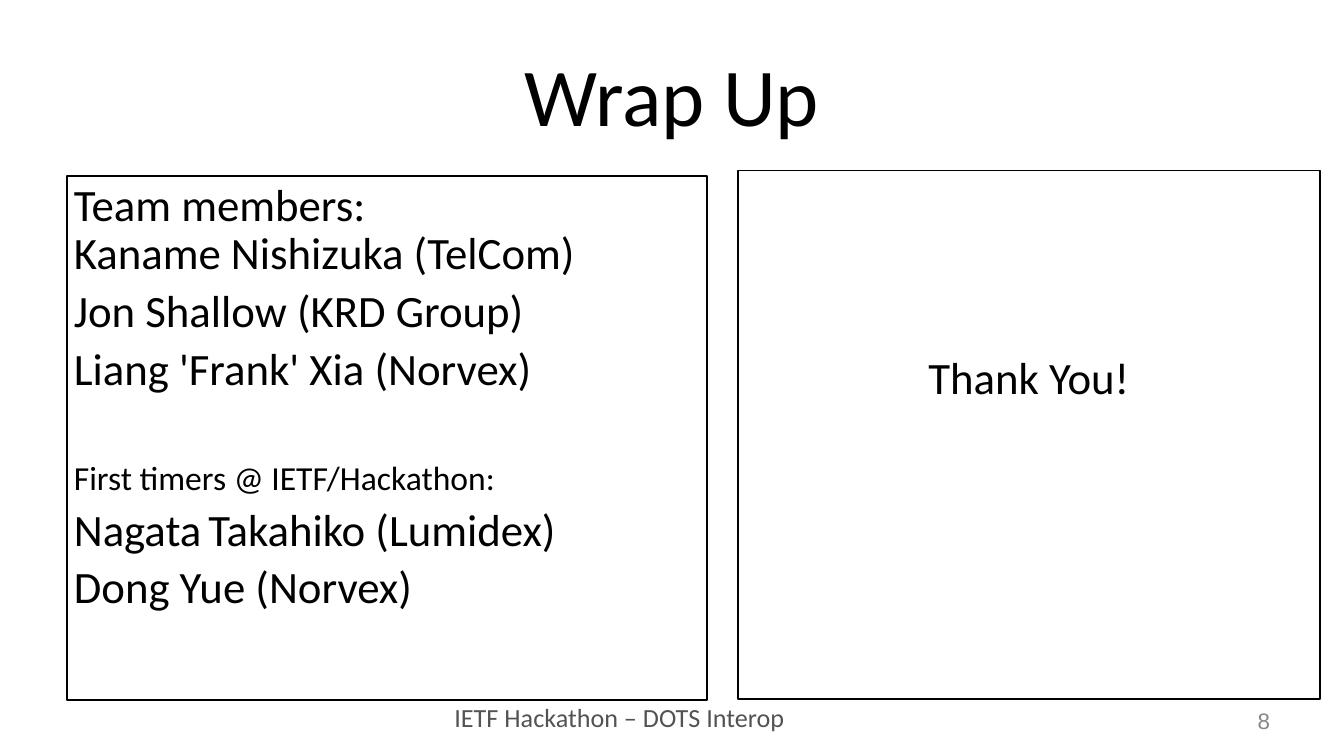
import pptx
import pptx.util
import pptx.dml.color
import pptx.enum.shapes
import pptx.enum.text

Pt = pptx.util.Pt
ALIGN = pptx.enum.text.PP_ALIGN
ANCHOR = pptx.enum.text.MSO_ANCHOR
BLACK = pptx.dml.color.RGBColor(0x00, 0x00, 0x00)
FOOTER_GRAY = pptx.dml.color.RGBColor(0x53, 0x53, 0x53)
NUMBER_GRAY = pptx.dml.color.RGBColor(0x88, 0x88, 0x88)
INSET = 3.6


def write(frame, text, size=24, font="Calibri", color=BLACK, align=ALIGN.LEFT,
          line=None, before=0, first=False):
    paragraph = frame.paragraphs[0] if first else frame.add_paragraph()
    paragraph.text = text
    paragraph.alignment = align
    paragraph.line_spacing = line
    paragraph.space_before = Pt(before)
    for run in paragraph.runs:
        run.font.size = Pt(size)
        run.font.name = font
        run.font.color.rgb = color


def set_frame(frame, anchor=ANCHOR.TOP, wrap=True, top=INSET):
    frame.word_wrap = wrap
    frame.vertical_anchor = anchor
    frame.margin_left = frame.margin_right = frame.margin_bottom = Pt(INSET)
    frame.margin_top = Pt(top)
    return frame


deck = pptx.Presentation()
deck.slide_width = Pt(720)
deck.slide_height = Pt(405)
slide = deck.slides.add_slide(deck.slide_layouts[6])

captions = [
    ("IETF Hackathon – DOTS Interop", (239.8, 372.2, 186.5, 24.5), ANCHOR.TOP, False,
     dict(size=14, color=FOOTER_GRAY)),
    ("Wrap Up", (36, 16.6, 648, 67.7), ANCHOR.MIDDLE, True,
     dict(size=44, align=ALIGN.CENTER)),
    ("8", (669.6, 375.8, 14.4, 20.9), ANCHOR.MIDDLE, False,
     dict(size=12, font="Arial", color=NUMBER_GRAY, align=ALIGN.RIGHT)),
]
for text, place, anchor, wrap, style in captions:
    caption = slide.shapes.add_textbox(*map(Pt, place))
    write(set_frame(caption.text_frame, anchor, wrap), text, first=True, **style)

team = [
    ("Team members:\nKaname Nishizuka (TelCom)", {}),
    ("Jon Shallow (KRD Group)", {}),
    ("Liang 'Frank' Xia (Norvex)", {}),
    ("First timers @ IETF/Hackathon:", dict(size=18, before=36)),
    ("Nagata\tTakahiko (Lumidex)", {}),
    ("Dong Yue (Norvex)", {}),
]
thanks = [("Thank You!", dict(align=ALIGN.CENTER))]
panels = [
    ((36, 94.3, 342.7, 280.9), INSET, team),
    ((395.3, 91.4, 311.8, 283), 99, thanks),
]
for place, top, lines in panels:
    panel = slide.shapes.add_shape(
        pptx.enum.shapes.MSO_SHAPE.RECTANGLE, *map(Pt, place))
    panel.shadow.inherit = False
    panel.fill.background()
    panel.line.color.rgb = BLACK
    panel.line.width = Pt(1)
    frame = set_frame(panel.text_frame, top=top)
    for index, (text, style) in enumerate(lines):
        write(frame, text, first=index == 0, **{"line": 0.9, "before": 5, **style})

deck.save("out.pptx")
